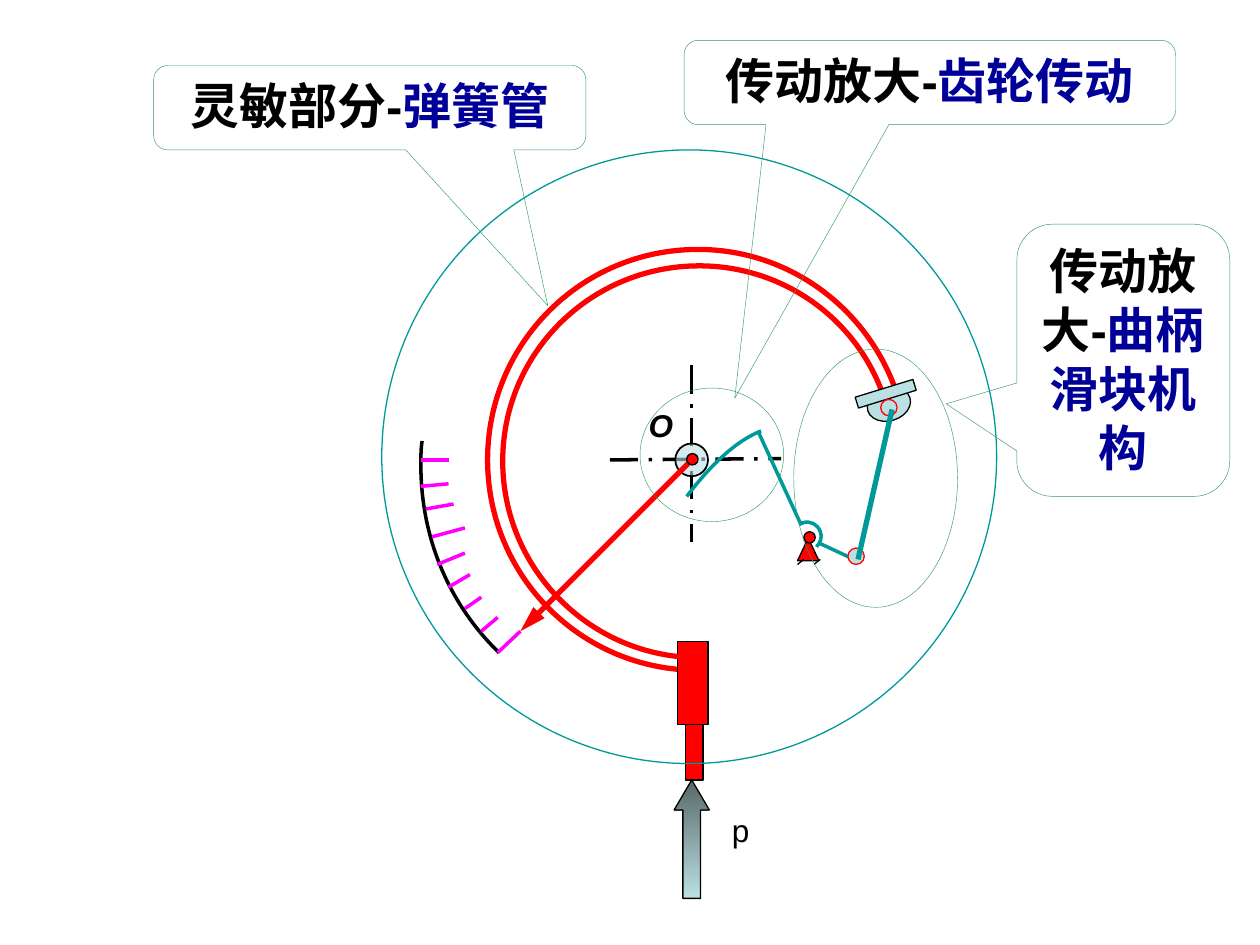
from lxml import etree
from pptx import Presentation
from pptx import util as u
from pptx.dml.color import RGBColor
from pptx.enum import dml, shapes, text
from pptx.oxml import ns

BLACK = RGBColor(0x00, 0x00, 0x00)
RED = RGBColor(0xFF, 0x00, 0x00)
MAGENTA = RGBColor(0xFF, 0x00, 0xFF)
TEAL = RGBColor(0x00, 0x99, 0x99)
GREEN = RGBColor(0x33, 0x99, 0x66)
NAVY = RGBColor(0x00, 0x00, 0x99)
PALE = RGBColor(0xBB, 0xE0, 0xE3)
SLATE = RGBColor(0x57, 0x68, 0x69)
KIND = shapes.MSO_SHAPE

presentation = Presentation()
presentation.slide_width, presentation.slide_height = u.Inches(10), u.Inches(7.5)
slide = presentation.slides.add_slide(presentation.slide_layouts[6])
gauge = slide.shapes.add_group_shape().shapes

# Grid of 10 columns by 7.5 rows with square cells
CELL = presentation.slide_width // 10
PIVOT_X, PIVOT_Y = 5.49, 3.65


def add_part(target, kind, box, fill, color, width, rotation=0):
    """Add a preset shape; box is left, top, width, height in cells."""
    shape = target.add_shape(kind, *(int(value * CELL) for value in box))
    shape.shadow.inherit = False
    shape.rotation = rotation
    if fill is None:
        shape.fill.background()
    else:
        shape.fill.solid()
        shape.fill.fore_color.rgb = fill
    shape.line.color.rgb = color
    shape.line.width = u.Pt(width)
    return shape


def add_line(points, color, width):
    """Draw a connector through two points, or cubic curves through 3n + 1 points."""
    spots = [(int(x * CELL), int(y * CELL)) for x, y in points]
    if len(spots) == 2:
        shape = gauge.add_connector(shapes.MSO_CONNECTOR.STRAIGHT, *spots[0], *spots[1])
        etree.SubElement(shape.line._get_or_add_ln().getparent(), ns.qn("a:effectLst"))
    else:
        builder = gauge.build_freeform(*spots[0])
        builder.add_line_segments(spots[1:], close=False)
        shape = builder.convert_to_shape()
        shape.shadow.inherit = False
        shape.fill.background()
        # Turn every three straight steps into one cubic curve
        steps = list(shape._element.iter(ns.qn("a:lnTo")))
        outline = steps[0].getparent()
        for first in range(0, len(steps), 3):
            curve = etree.SubElement(outline, ns.qn("a:cubicBezTo"))
            for step in steps[first:first + 3]:
                curve.append(step[0])
                outline.remove(step)
    shape.line.color.rgb = color
    shape.line.width = u.Pt(width)
    return shape


# Centre lines through the pivot
for ends in [((4.84, 3.65), (6.2, 3.64)), ((PIVOT_X, 2.9), (PIVOT_X, 4.3))]:
    add_line(ends, BLACK, 2).line.dash_style = dml.MSO_LINE.LONG_DASH_DOT

# Outer wall of the spring tube
add_line([(7.13, 3.16), (6.92, 2.48), (6.29, 1.98), (5.54, 1.98), (4.61, 1.98),
          (3.87, 2.73), (3.87, 3.65), (3.87, 4.57), (4.61, 5.32), (5.54, 5.32),
          (5.54, 5.32), (5.55, 5.32), (5.56, 5.32)], RED, 3)

# Inlet fitting
add_part(gauge, KIND.RECTANGLE, (5.38, 5.09, 0.24, 0.66), RED, BLACK, 0.75)
add_part(gauge, KIND.RECTANGLE, (5.44, 5.75, 0.14, 0.44), RED, BLACK, 0.75)

# Letters for the pivot and the pressure
letters = [(gauge, "O", (5.05, 3.17, 0.57, 0.4), True),
           (slide.shapes, "p", (5.71, 6.39, 0.47, 0.4), False)]
for target, letter, box, emphasis in letters:
    frame = target.add_textbox(*(int(value * CELL) for value in box)).text_frame
    frame.word_wrap = True
    frame.auto_size = text.MSO_AUTO_SIZE.SHAPE_TO_FIT_TEXT
    paragraph = frame.paragraphs[0]
    paragraph.text = letter
    font = paragraph.font
    font.name, font.size = "Arial", u.Pt(18)
    font.bold = font.italic = emphasis
    font.color.rgb = BLACK

# Pinion and pointer
pinion = add_part(gauge, KIND.OVAL, (5.36, 3.52, 0.26, 0.26), PALE, BLACK, 1)
pinion_color = pinion.fill._xPr.find(".//" + ns.qn("a:srgbClr"))
etree.SubElement(pinion_color, ns.qn("a:alpha"), val="59000")
pointer = add_line([(PIVOT_X, PIVOT_Y), (4.13, 5.01)], RED, 3)
etree.SubElement(pointer.line._get_or_add_ln(), ns.qn("a:tailEnd"),
                 type="triangle", w="med", len="lg")

# Scale arc
add_line([(3.35, 3.5), (3.34, 3.56), (3.34, 3.63), (3.34, 3.69),
          (3.34, 4.28), (3.57, 4.8), (3.96, 5.18)], BLACK, 2)

# Fixed support of the gear sector, and the pivot pin
add_part(gauge, KIND.ISOSCELES_TRIANGLE, (6.33, 4.27, 0.17, 0.18), RED, BLACK, 0.75)
add_part(gauge, KIND.OVAL, (6.38, 4.22, 0.09, 0.09), RED, BLACK, 0.75)
for right in (6.38, 6.51):
    add_line([(right, 4.44), (right - 0.05, 4.48)], BLACK, 0.75)
add_part(gauge, KIND.OVAL, (5.45, 3.6, 0.09, 0.09), RED, BLACK, 0.75)

# Scale marks
marks = [
    ((3.56, 3.84), (3.34, 3.86)), ((3.6, 4.0), (3.38, 4.04)),
    ((3.69, 4.19), (3.43, 4.26)), ((3.69, 4.39), (3.47, 4.48)),
    ((3.73, 4.56), (3.56, 4.66)), ((3.82, 4.74), (3.69, 4.83)),
    ((3.95, 4.9), (3.82, 5.01)), ((4.13, 5.01), (3.95, 5.18)),
    ((3.34, 3.65), (3.56, 3.65)),
]
for mark in marks:
    add_line(mark, MAGENTA, 2)

# Gear sector with its arm, hub and crank
add_line([(6.04, 3.42), (5.84, 3.5), (5.64, 3.69), (5.45, 3.94)], TEAL, 2)
add_line([(6.36, 4.17), (6.02, 3.43)], TEAL, 2)
add_line([(6.48, 4.34), (6.51, 4.31), (6.53, 4.26), (6.51, 4.22), (6.49, 4.16),
          (6.43, 4.13), (6.37, 4.15), (6.36, 4.15), (6.36, 4.15), (6.35, 4.15)], TEAL, 2)
add_line([(6.5, 4.31), (6.8, 4.45)], TEAL, 2)

# Inner wall of the spring tube
add_line([(7.03, 3.2), (6.84, 2.57), (6.25, 2.11), (5.55, 2.11), (4.69, 2.11),
          (3.99, 2.8), (3.99, 3.66), (3.99, 4.52), (4.69, 5.22), (5.55, 5.22),
          (5.55, 5.22), (5.56, 5.22), (5.57, 5.22)], RED, 3)

# Slider and connecting rod
TILT = 342.9
add_part(gauge, KIND.OVAL, (6.73, 4.35, 0.13, 0.13), PALE, RED, 0.75)
add_part(gauge, KIND.OVAL, (6.88, 3.08, 0.35, 0.26), PALE, BLACK, 0.75, TILT)
add_part(gauge, KIND.RECTANGLE, (6.79, 3.08, 0.48, 0.09), PALE, BLACK, 0.75, TILT)
add_part(gauge, KIND.OVAL, (6.99, 3.17, 0.13, 0.13), PALE, RED, 0.75)
add_line([(7.08, 3.25), (6.81, 4.44)], TEAL, 3)

# Gauge case
add_part(gauge, KIND.OVAL, (3.03, 1.19, 4.88, 4.87), None, TEAL, 0.75)

# Pressure arrow
arrow = add_part(slide.shapes, KIND.UP_ARROW, (5.35, 6.19, 0.28, 0.94), PALE, BLACK, 0.75)
arrow.adjustments[0], arrow.adjustments[1] = 0.5, 0.855
arrow.fill.gradient()
arrow.fill.gradient_angle = 270
for stop, color in zip(arrow.fill.gradient_stops, (SLATE, PALE)):
    stop.color.rgb = color

# Outlines of the two transmission parts
for box in [(6.3, 2.77, 1.3, 2.05), (5.08, 3.08, 1.14, 1.06)]:
    add_part(slide.shapes, KIND.OVAL, box, None, GREEN, 0.25)

# Callouts: box, pointer offset, part and mechanism
callouts = [
    ((1.22, 0.52, 3.43, 0.67), (0.412, 2.345), "灵敏部分-", "弹簧管"),
    ((8.07, 1.78, 1.69, 2.16), (-0.832, 0.16), "传动放大-", "曲柄滑块机构"),
    ((5.43, 0.32, 3.9, 0.67), (-0.397, 3.741), "传动放大-", "齿轮传动"),
]
for box, offset, part, mechanism in callouts:
    callout = add_part(slide.shapes, KIND.ROUNDED_RECTANGULAR_CALLOUT, box, None, GREEN, 0.25)
    for index, value in enumerate((*offset, 0.167)):
        callout.adjustments[index] = value
    callout.text_frame.word_wrap = True
    callout.text_frame.vertical_anchor = text.MSO_ANCHOR.TOP
    paragraph = callout.text_frame.paragraphs[0]
    paragraph.alignment = text.PP_ALIGN.CENTER
    font = paragraph.font
    font.name, font.size, font.bold = "Arial", u.Pt(28), True
    for words, color in ((part, BLACK), (mechanism, NAVY)):
        run = paragraph.add_run()
        run.text = words
        run.font.color.rgb = color

presentation.save("out.pptx")
